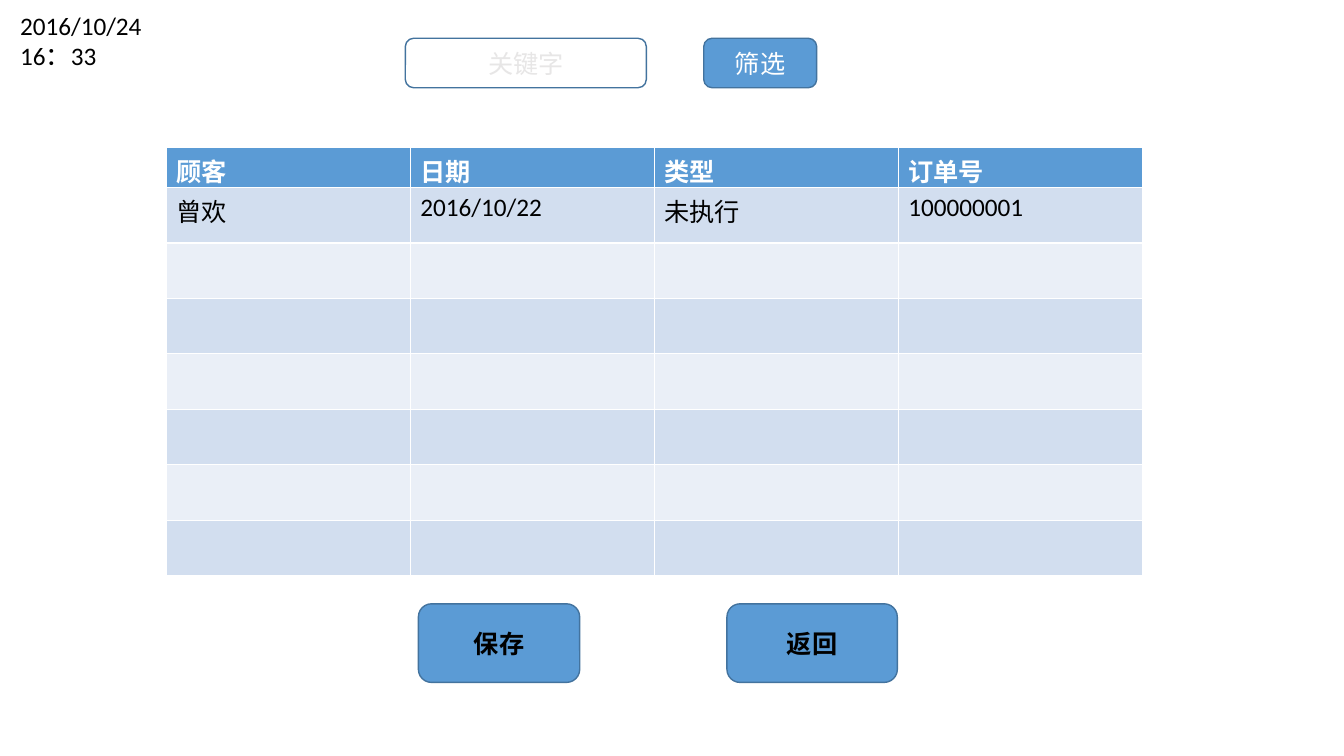
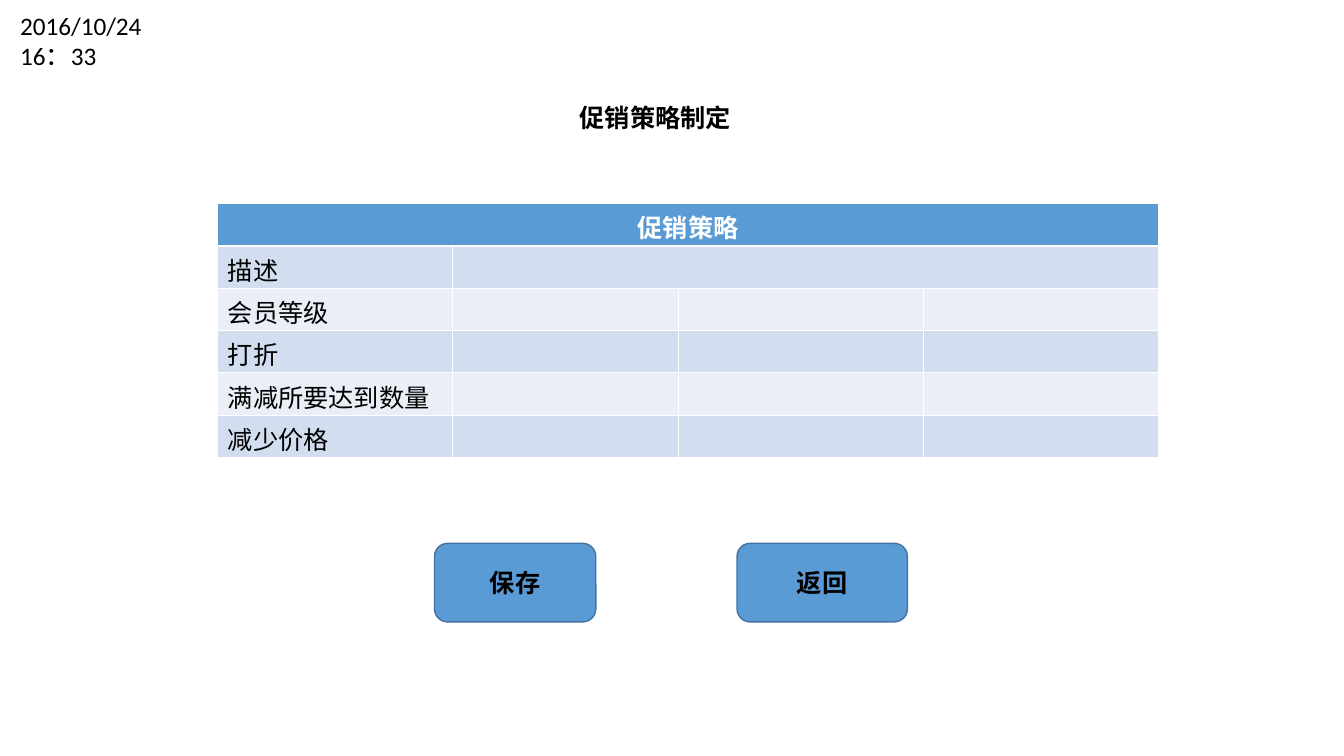
from dataclasses import dataclass

from pptx import Presentation
from pptx.dml.color import RGBColor
from pptx.enum.shapes import MSO_SHAPE as Shape
from pptx.enum.text import MSO_ANCHOR as Anchor, MSO_AUTO_SIZE as Fit, PP_ALIGN as Align
from pptx.util import Inches, Pt

# Shared look
FONT, SIZE = "Calibri", 18
BLUE, EDGE = "5B9BD5", "43739E"
DARK, LIGHT = "D2DEEF", "EAEFF7"
BLACK, WHITE, GREY = "000000", "FFFFFF", "E7E6E6"
CLOCK = "2016/10/24 16：33"


@dataclass
class Box:
    text: str
    left: float
    top: float
    width: float
    height: float
    fill: str = BLUE
    ink: str = BLACK
    bold: bool = True


@dataclass
class Grid:
    left: float
    top: float
    cols: list[float]
    rows: list[float]
    text: list[list[str]]
    spans: tuple[tuple[int, int], ...] = ()  # row, first merged column
    head: Align = Align.LEFT


def paint(part, color: str) -> None:
    """Give a fill a solid colour."""
    part.solid()
    part.fore_color.rgb = RGBColor.from_string(color)


def write(frame, text: str, color: str = BLACK, bold: bool = False,
          align: Align = Align.LEFT) -> None:
    para = frame.paragraphs[0]
    para.alignment = align
    run = para.add_run()
    run.text = text
    run.font.name, run.font.size, run.font.bold = FONT, Pt(SIZE), bold
    paint(run.font.fill, color)


def add_clock(slide) -> None:
    frame = slide.shapes.add_textbox(
        Inches(0.1), Inches(0.05), Inches(1.55), Inches(0.7)).text_frame
    frame.word_wrap = True
    frame.auto_size = Fit.SHAPE_TO_FIT_TEXT
    write(frame, CLOCK)


def add_title(slide, text: str) -> None:
    title = slide.shapes.title
    title.left, title.top = Inches(4.36), Inches(0.75)
    title.width, title.height = Inches(4.28), Inches(0.83)
    title.text_frame.vertical_anchor = Anchor.MIDDLE
    write(title.text_frame, text, bold=True, align=Align.CENTER)


def add_box(slide, box: Box) -> None:
    shape = slide.shapes.add_shape(
        Shape.ROUNDED_RECTANGLE, Inches(box.left), Inches(box.top),
        Inches(box.width), Inches(box.height))
    shape.shadow.inherit = False
    paint(shape.fill, box.fill)
    paint(shape.line.fill, EDGE)
    shape.line.width = Pt(1)
    shape.text_frame.vertical_anchor = Anchor.MIDDLE
    write(shape.text_frame, box.text, box.ink, box.bold, Align.CENTER)


def add_pair(slide, top: float, save: float, back: float) -> None:
    """Add the save and return buttons."""
    add_box(slide, Box("保存", save, top, 1.6, 0.78))
    add_box(slide, Box("返回", back, top, 1.69, 0.78))


def add_grid(slide, grid: Grid) -> None:
    table = slide.shapes.add_table(
        len(grid.rows), len(grid.cols), Inches(grid.left), Inches(grid.top),
        Inches(sum(grid.cols)), Inches(sum(grid.rows))).table
    for col, width in zip(table.columns, grid.cols):
        col.width = Inches(width)
    for row, height in zip(table.rows, grid.rows):
        row.height = Inches(height)

    # Header colour, then alternating bands
    for r in range(len(grid.rows)):
        for c in range(len(grid.cols)):
            paint(table.cell(r, c).fill, BLUE if r == 0 else DARK if r % 2 else LIGHT)
    for r, c in grid.spans:
        table.cell(r, c).merge(table.cell(r, len(grid.cols) - 1))

    for r, words in enumerate(grid.text):
        for c, word in enumerate(words):
            frame = table.cell(r, c).text_frame
            if r == 0:
                write(frame, word, WHITE, True, grid.head)
            else:
                write(frame, word)


def add_orders(deck) -> None:
    slide = deck.slides.add_slide(deck.slide_layouts[6])
    add_clock(slide)
    add_grid(slide, Grid(
        1.65, 1.46, [2.42] * 4, [0.38] + [0.55] * 7,
        [["顾客", "日期", "类型", "订单号"],
         ["曾欢", "2016/10/22", "未执行", "100000001"]]))
    # Search field and filter button
    add_box(slide, Box("筛选", 6.98, 0.38, 1.12, 0.49, BLUE, WHITE, False))
    add_box(slide, Box("关键字", 4.02, 0.38, 2.39, 0.49, WHITE, GREY, False))
    add_pair(slide, 5.99, 4.15, 7.21)


def add_promo(deck) -> None:
    slide = deck.slides.add_slide(deck.slide_layouts[5])
    add_clock(slide)
    add_title(slide, "促销策略制定")
    names = ["促销策略", "描述", "会员等级", "打折", "满减所要达到数量", "减少价格"]
    add_grid(slide, Grid(
        2.16, 2.02, [2.33, 2.24, 2.43, 2.33], [0.42] * len(names),
        [[name] for name in names], ((0, 0), (1, 1)), Align.CENTER))
    add_pair(slide, 5.39, 4.31, 7.31)


def main() -> None:
    deck = Presentation()
    deck.slide_width, deck.slide_height = Inches(13.33), Inches(7.5)
    add_orders(deck)
    add_promo(deck)
    deck.save("out.pptx")


if __name__ == "__main__":
    main()
